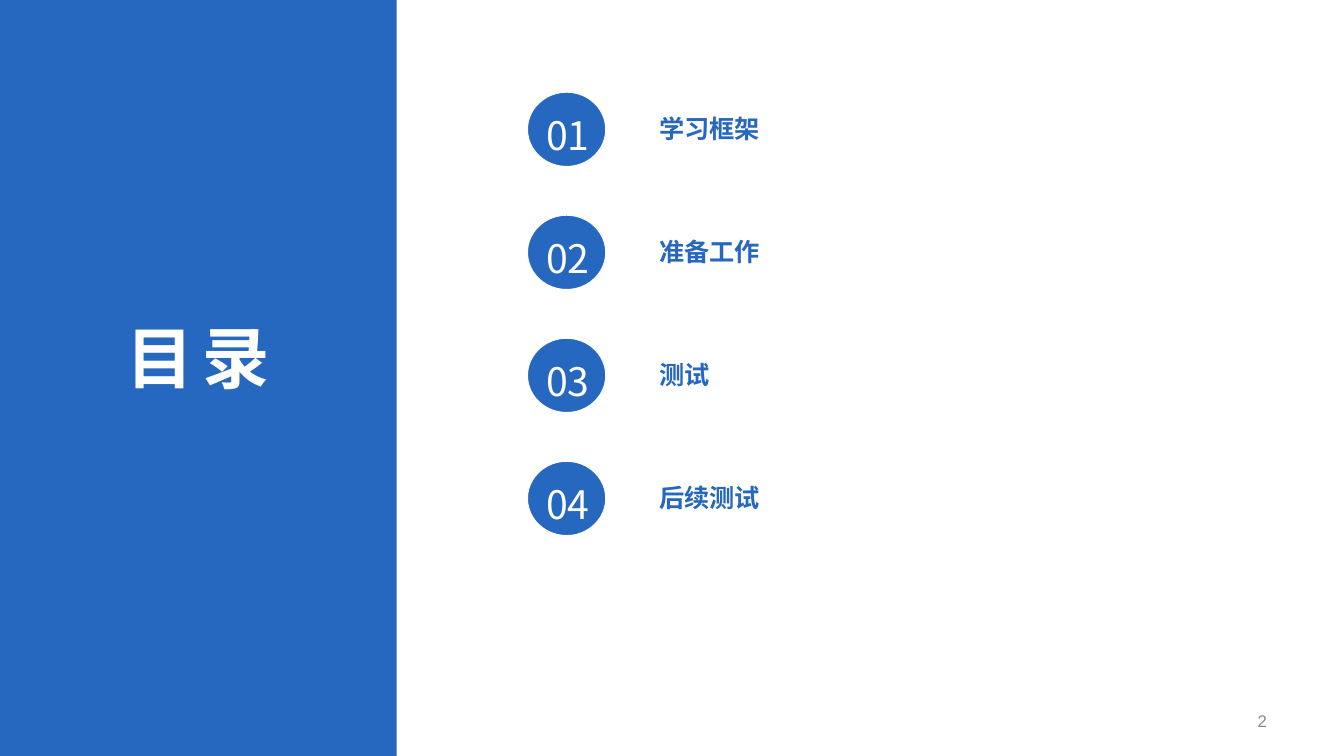
from pptx import Presentation
from pptx.dml.color import RGBColor
from pptx.enum.shapes import MSO_SHAPE as Shape
from pptx.enum.text import MSO_ANCHOR as Anchor, MSO_AUTO_SIZE as AutoSize, PP_ALIGN as Align
from pptx.oxml.ns import qn
from pptx.util import Cm, Pt
from lxml.etree import SubElement

BLUE, WHITE, GREY = "2667BF", "FFFFFF", "898989"
CJK_FONT = "Noto Sans CJK SC"

prs = Presentation()
prs.slide_width, prs.slide_height = Cm(33.87), Cm(19.05)
slide = prs.slides.add_slide(prs.slide_layouts[6])


def rgb(value):
    return RGBColor.from_string(value)


def add_text(text, left, top, width, height, size, color, align=Align.LEFT,
             bold=False, font=CJK_FONT, spacing=0, line_spacing=1.0):
    box = slide.shapes.add_textbox(Cm(left), Cm(top), Cm(width), Cm(height))
    frame = box.text_frame
    frame.word_wrap = True
    frame.vertical_anchor = Anchor.MIDDLE
    frame.auto_size = AutoSize.SHAPE_TO_FIT_TEXT
    paragraph = frame.paragraphs[0]
    paragraph.alignment = align
    paragraph.line_spacing = line_spacing
    run = paragraph.add_run()
    run.text = text
    run.font.size, run.font.bold, run.font.name = Pt(size), bold, font
    run.font.color.rgb = rgb(color)
    # East Asian font and letter spacing in hundredths of a point
    properties = run.font._element
    SubElement(properties, qn("a:ea")).set("typeface", font)
    properties.set("spc", str(spacing))


# Blue side panel with the heading
panel = slide.shapes.add_shape(Shape.RECTANGLE, 0, 0, Cm(10), Cm(19.05))
panel.shadow.inherit = False
panel.fill.solid()
panel.fill.fore_color.rgb = rgb(BLUE)
panel.line.fill.background()
add_text("目录", 0, 7.82, 10, 2.31, 48, WHITE, Align.CENTER, bold=True, spacing=600)

# Numbered chapters, evenly spaced
chapters = ["学习框架", "准备工作", "测试", "后续测试"]
first_top, pitch = 2.31, 3.1
for number, chapter in enumerate(chapters, start=1):
    top = first_top + (number - 1) * pitch
    badge = slide.shapes.add_shape(
        Shape.FLOWCHART_CONNECTOR, Cm(13.28), Cm(top), Cm(2), Cm(1.9))
    badge.shadow.inherit = False
    badge.fill.solid()
    badge.fill.fore_color.rgb = rgb(BLUE)
    badge.line.color.rgb = rgb(WHITE)
    badge.line.width = Pt(1.5)
    add_text(f"{number:02}", 13.44, top - 0.13, 1.75, 1.83, 28, WHITE,
             Align.CENTER, spacing=-10, line_spacing=1.5)
    add_text(chapter, 16.38, top + 0.1, 15.9, 1.27, 18, BLUE,
             bold=True, spacing=-10, line_spacing=1.5)

# Slide number
add_text("2", 24.28, 17.65, 7.9, 1.02, 12, GREY, Align.RIGHT, font="Arial")

prs.save("out.pptx")
